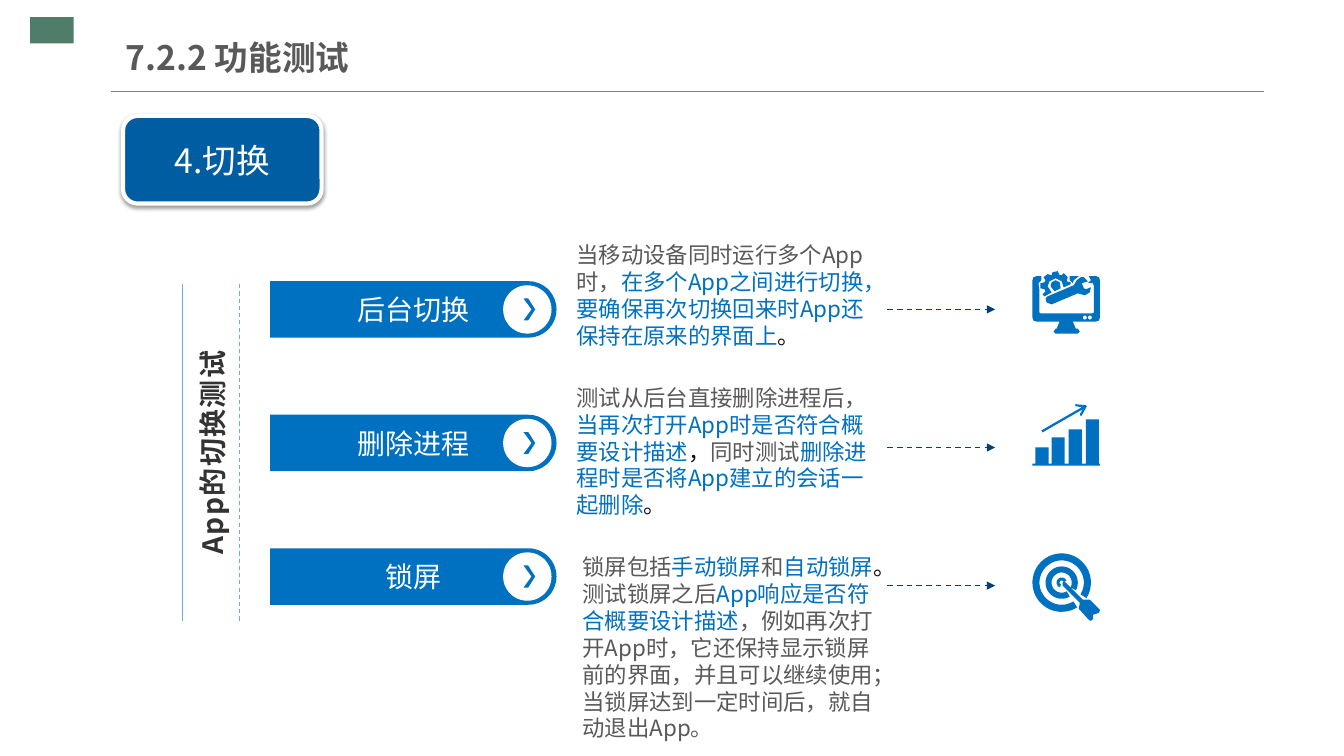
from dataclasses import dataclass
from math import cos, radians, sin

from lxml import etree
from pptx import Presentation
from pptx.dml.color import RGBColor
from pptx.enum import dml, shapes, text
from pptx.oxml.ns import qn
from pptx.util import Inches, Pt

FONT = "Noto Sans CJK SC"
WHITE = RGBColor(0xFF, 0xFF, 0xFF)
BLUE = RGBColor(0x00, 0x70, 0xC0)
DEEP = RGBColor(0x00, 0x5D, 0xA2)
NAVY = RGBColor(0x01, 0x40, 0x76)
SKY = RGBColor(0x6B, 0xAF, 0xE1)
GREEN = RGBColor(0x4F, 0x7D, 0x6A)
RULE = RGBColor(0x80, 0x80, 0x80)
GREY = RGBColor(0x59, 0x59, 0x59)
DARK = RGBColor(0x33, 0x33, 0x33)
BLACK = RGBColor(0x0D, 0x0D, 0x0D)

Point = tuple[float, float]
Path = list[Point]
Box = tuple[float, float, float, float]
Piece = tuple[str, RGBColor]


@dataclass
class Step:
    label: str
    box: Box
    anchor: text.MSO_ANCHOR
    note: list[Piece]
    icon: list[Path]


def arc(x: float, y: float, r: float, start: float = 0, end: float = 360) -> Path:
    """Points every few degrees, clockwise from start to end."""
    count = 48
    turns = [radians(start + (end - start) * i / count) for i in range(count + 1)]
    return [(x + r * cos(t), y + r * sin(t)) for t in turns]


def ring(x: float, y: float, outer: float, inner: float, start: float, end: float) -> Path:
    return arc(x, y, outer, start, end) + arc(x, y, inner, end, start)


def block(left: float, top: float, right: float, bottom: float) -> Path:
    return [(left, top), (right, top), (right, bottom), (left, bottom)]


def draw(slide, paths: list[Path], fill: RGBColor):
    """One filled outline; a path inside another one is a hole."""
    mils = [[(x * 1000, y * 1000) for x, y in path] for path in paths]
    pen = slide.shapes.build_freeform(*mils[0][0], scale=914.4)
    for i, path in enumerate(mils):
        if i:
            pen.move_to(*path[0])
        pen.add_line_segments(path[1:], close=True)
    shape = pen.convert_to_shape()
    paint(shape, fill)
    return shape


def paint(shape, fill: RGBColor) -> None:
    shape.shadow.inherit = False
    shape.fill.solid()
    shape.fill.fore_color.rgb = fill
    shape.line.fill.background()


def write(shape, pieces: list[Piece], size: float, bold: bool = False,
          align=text.PP_ALIGN.LEFT, anchor=text.MSO_ANCHOR.MIDDLE,
          inset: tuple[float, float] = (0.1, 0.05)) -> None:
    frame = shape.text_frame
    frame.word_wrap = True
    frame.vertical_anchor = anchor
    frame.margin_left = frame.margin_right = Inches(inset[0])
    frame.margin_top = frame.margin_bottom = Inches(inset[1])
    line = frame.paragraphs[0]
    line.alignment = align
    for words, color in pieces:
        run = line.add_run()
        run.text = words
        run.font.size = Pt(size)
        run.font.bold = bold
        run.font.name = FONT
        run.font.color.rgb = color
        etree.SubElement(run.font._element, qn("a:ea"), typeface=FONT)


def add_box(slide, box: Box):
    return slide.shapes.add_textbox(*map(Inches, box))


def add_line(slide, start: Point, end: Point, color: RGBColor, width: float = 0.75,
             dash: bool = False, arrow: bool = False) -> None:
    line = slide.shapes.add_connector(shapes.MSO_CONNECTOR.STRAIGHT,
                                      *map(Inches, start + end))
    line.line.color.rgb = color
    line.line.width = Pt(width)
    if dash:
        line.line.dash_style = dml.MSO_LINE.DASH
    props = line._element.spPr
    if arrow:
        etree.SubElement(props.find(qn("a:ln")), qn("a:tailEnd"), type="triangle")
    etree.SubElement(props, qn("a:effectLst"))


def add_shade(shape) -> None:
    effects = shape._element.spPr.find(qn("a:effectLst"))
    shade = etree.SubElement(effects, qn("a:outerShdw"), blurRad=str(Pt(3.1)),
                             dist=str(Pt(1.6)), dir="5400000", rotWithShape="0")
    color = etree.SubElement(shade, qn("a:srgbClr"), val="000000")
    etree.SubElement(color, qn("a:alpha"), val="38000")


SCREEN = [
    [(10.28, 2.74), (10.33, 2.74), (10.33, 2.78), (10.3, 2.81), (10.31, 2.88), (10.31, 3.1),
     (10.32, 3.11), (10.83, 3.11), (10.85, 3.1), (10.85, 2.84), (10.84, 2.81), (10.79, 2.81),
     (10.82, 2.78), (10.8, 2.74), (10.87, 2.74), (10.9, 2.75), (10.91, 2.78), (10.91, 3.15),
     (10.9, 3.18), (10.87, 3.19), (10.64, 3.19), (10.67, 3.26), (10.69, 3.26), (10.71, 3.29),
     (10.69, 3.31), (10.47, 3.31), (10.45, 3.29), (10.47, 3.26), (10.48, 3.26), (10.51, 3.19),
     (10.28, 3.19), (10.25, 3.18), (10.24, 3.15), (10.24, 2.78), (10.25, 2.75)],
    [(10.61, 2.74), (10.7, 2.74), (10.65, 2.78), (10.64, 2.81), (10.61, 2.78)],
    [(10.47, 2.78), (10.51, 2.8), (10.52, 2.86), (10.46, 2.89), (10.42, 2.84), (10.43, 2.8)],
    [(10.72, 2.75), (10.75, 2.75), (10.79, 2.79), (10.73, 2.81), (10.75, 2.86), (10.77, 2.87),
     (10.82, 2.85), (10.81, 2.9), (10.76, 2.93), (10.69, 2.91), (10.43, 3.02), (10.38, 3),
     (10.37, 2.96), (10.39, 2.94), (10.65, 2.83), (10.68, 2.78)],
    [(10.44, 2.7), (10.49, 2.69), (10.51, 2.73), (10.53, 2.73), (10.55, 2.71), (10.59, 2.75),
     (10.58, 2.79), (10.62, 2.8), (10.62, 2.82), (10.55, 2.85), (10.53, 2.79), (10.47, 2.76),
     (10.41, 2.79), (10.39, 2.84), (10.43, 2.9), (10.36, 2.94), (10.34, 2.92), (10.37, 2.89),
     (10.36, 2.87), (10.32, 2.86), (10.32, 2.81), (10.36, 2.8), (10.37, 2.78), (10.35, 2.75),
     (10.39, 2.72), (10.43, 2.73)],
    *[arc(x, 3.15, 0.02) for x in (10.76, 10.81)],
]
GROWTH = [
    block(10.24, 4.6, 10.91, 4.62),
    *[block(left, top, left + 0.13, 4.6)
      for left, top in ((10.27, 4.44), (10.43, 4.34), (10.6, 4.26), (10.77, 4.16))],
    [(10.67, 4.01), (10.77, 4.02), (10.78, 4.03), (10.73, 4.12), (10.72, 4.13), (10.71, 4.11),
     (10.74, 4.06), (10.34, 4.29), (10.33, 4.27), (10.73, 4.04), (10.67, 4.03), (10.66, 4.02)],
]
TARGET = [
    ring(10.53, 5.78, 0.29, 0.22, 58, 392),
    ring(10.53, 5.78, 0.16, 0.1, 60, 388),
    ring(10.53, 5.78, 0.05, 0.02, 110, 340),
    [(10.55, 5.77), (10.57, 5.78), (10.74, 5.95), (10.81, 5.95), (10.91, 6.05), (10.9, 6.08),
     (10.84, 6.1), (10.84, 6.14), (10.82, 6.16), (10.8, 6.15), (10.71, 6.05), (10.7, 6.04),
     (10.71, 5.98), (10.54, 5.81), (10.54, 5.78)],
]
STEPS = [
    Step("后台切换", (5.62, 2.18, 3.25, 1.5), text.MSO_ANCHOR.MIDDLE,
         [("当移动设备同时运行多个App时，", GREY),
          ("在多个App之间进行切换，要确保再次切换回来时App还保持在原来的界面上", BLUE),
          ("。", BLACK)], SCREEN),
    Step("删除进程", (5.62, 3.59, 3.18, 1.77), text.MSO_ANCHOR.MIDDLE,
         [("测试从后台直接删除进程后，", GREY), ("当再次打开App时是否符合概要设计描述", BLUE),
          ("，", BLACK), ("同时测试", GREY),
          ("删除进程时是否将App建立的会话一起删除", BLUE), ("。", BLACK)], GROWTH),
    Step("锁屏", (5.68, 5.44, 3.2, 1.99), text.MSO_ANCHOR.TOP,
         [("锁屏包括", GREY), ("手动锁屏", BLUE), ("和", GREY), ("自动锁屏", BLUE),
          ("。", BLACK), ("测试锁屏之后", GREY), ("App响应是否符合概要设计描述", BLUE),
          ("，例如再次打开App时，它还保持显示锁屏前的界面，并且可以继续使用；"
           "当锁屏达到一定时间后，就自动退出App。", GREY)], TARGET),
]


def add_step(slide, step: Step, mid: float, level: float) -> None:
    """Pill centred at mid, note, arrow at level, and icon."""
    pill = [(2.68, mid - 0.28)] + arc(5.24, mid, 0.28, -90, 90) + [(2.68, mid + 0.28)]
    write(draw(slide, [pill], BLUE), [(step.label, WHITE)], 20,
          align=text.PP_ALIGN.CENTER, inset=(0, 0))
    mark = [(5.19, mid - 0.11), (5.27, mid), (5.19, mid + 0.11),
            (5.24, mid + 0.11), (5.31, mid), (5.24, mid - 0.11)]
    draw(slide, [arc(5.23, mid, 0.24), mark], WHITE)
    write(add_box(slide, step.box), step.note, 16, anchor=step.anchor)
    add_line(slide, (8.8, level), (9.87, level), NAVY, 1, dash=True, arrow=True)
    draw(slide, step.icon, BLUE)


def main() -> None:
    deck = Presentation()
    deck.slide_width, deck.slide_height = Inches(13.33), Inches(7.5)
    slide = deck.slides.add_slide(deck.slide_layouts[6])

    tab = slide.shapes.add_shape(shapes.MSO_SHAPE.RECTANGLE,
                                 *map(Inches, (0.3, 0.17, 0.43, 0.26)))
    paint(tab, GREEN)
    add_line(slide, (1.1, 0.91), (12.54, 0.91), RULE)
    write(add_box(slide, (1.25, 0.29, 4.26, 0.55)), [("7.2.2 功能测试", GREY)], 24,
          bold=True, inset=(0, 0.07))

    for i, step in enumerate(STEPS):
        add_step(slide, step, 3.07 + 1.325 * i, 3.07 + 1.37 * i)

    side = add_box(slide, (1.84, 3.17, 0.54, 2.64))
    write(side, [("App的切换测试", DARK)], 20, bold=True,
          align=text.PP_ALIGN.CENTER, inset=(0, 0))
    side.text_frame._txBody.bodyPr.set("vert", "vert270")
    side.text_frame.paragraphs[0].runs[0].font._element.set("spc", "100")
    for x, dash in ((1.81, False), (2.38, True)):
        add_line(slide, (x, 2.82), (x, 6.16), SKY, dash=dash)

    badge = slide.shapes.add_shape(shapes.MSO_SHAPE.ROUNDED_RECTANGLE,
                                   *map(Inches, (1.22, 1.15, 1.97, 0.87)))
    paint(badge, DEEP)
    badge.line.color.rgb = WHITE
    badge.line.width = Pt(3)
    add_shade(badge)
    write(badge, [("4.切换", WHITE)], 24, align=text.PP_ALIGN.CENTER)
    deck.save("out.pptx")


if __name__ == "__main__":
    main()
